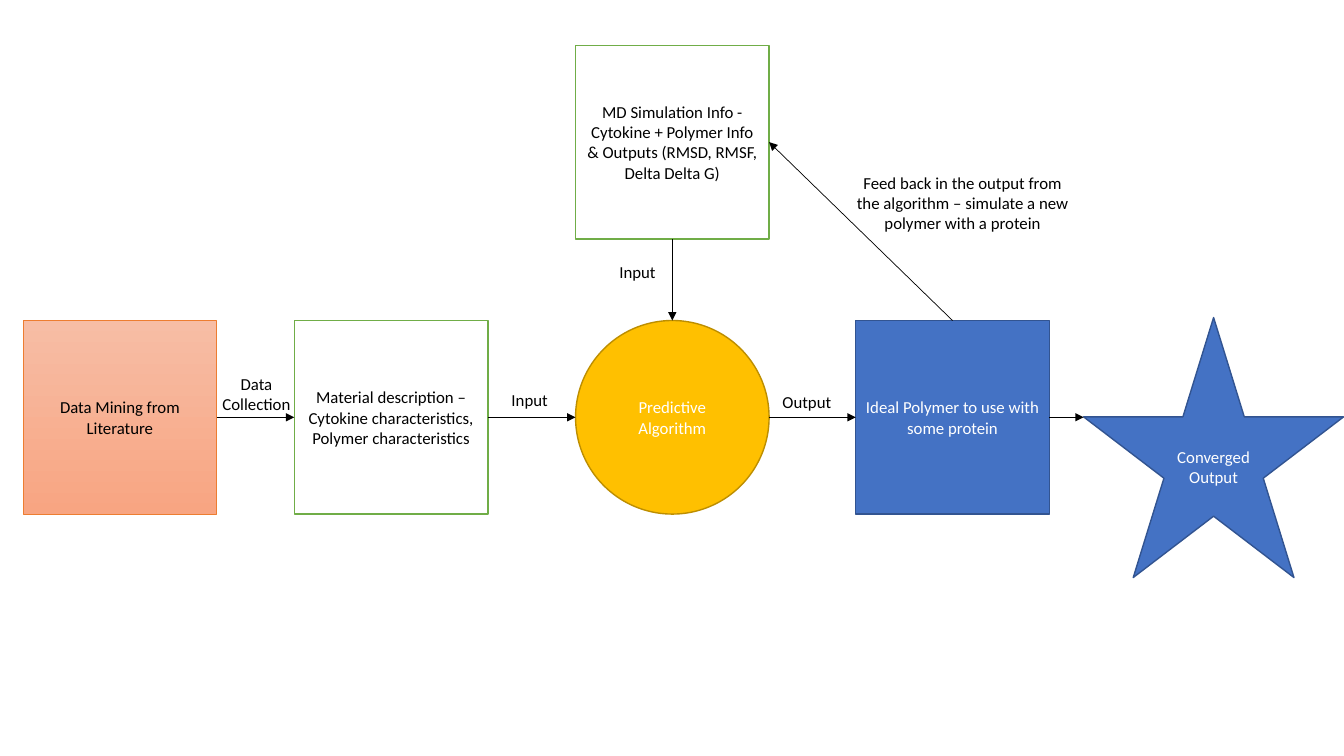
from pptx import Presentation
from pptx.dml.color import RGBColor
from pptx.enum import shapes, text
from pptx.oxml import xmlchemy
from pptx.util import Pt

SIDE = 138.24
ROW_TOP = 228.96
ROW_MIDDLE = ROW_TOP + SIDE / 2
COLUMNS = [16.56, 210.24, 411.12, 611.28]
STAR = (774, 226.8, 185.76, 185.76)
GREEN, BLUE, NAVY = "70AD47", "4472C4", "325491"
BLACK, WHITE = "000000", "FFFFFF"
KIND = shapes.MSO_SHAPE


def colour(value):
    return RGBColor.from_string(value)


def write(frame, paragraphs, ink, anchor):
    settings = {"word_wrap": True, "vertical_anchor": anchor}
    for name, value in settings.items():
        setattr(frame, name, value)
    for index, wording in enumerate(paragraphs):
        paragraph = frame.paragraphs[0] if index == 0 else frame.add_paragraph()
        paragraph.alignment = text.PP_ALIGN.CENTER
        run = paragraph.add_run()
        run.text = wording
        for name, value in {"name": "Calibri", "size": Pt(12)}.items():
            setattr(run.font, name, value)
        run.font.color.rgb = colour(ink)


def add_step(slide, box, paragraphs, fill, border, ink,
             kind=KIND.RECTANGLE, border_width=1):
    """Place one step of the flow; a pair of fills makes a vertical gradient."""
    step = slide.shapes.add_shape(kind, *map(Pt, box))
    step.shadow.inherit = False
    if isinstance(fill, tuple):
        step.fill.gradient()
        step.fill.gradient_angle = 270
        for stop, shade in zip(step.fill.gradient_stops, fill):
            stop.color.rgb = colour(shade)
    else:
        step.fill.solid()
        step.fill.fore_color.rgb = colour(fill)
    step.line.color.rgb = colour(border)
    step.line.width = Pt(border_width)
    write(step.text_frame, paragraphs, ink, text.MSO_ANCHOR.MIDDLE)
    return step


def add_arrow(slide, start, end, source=None, target=None):
    """Draw an arrow; source and target are (shape, side) pairs to join."""
    arrow = slide.shapes.add_connector(
        shapes.MSO_CONNECTOR.STRAIGHT, *map(Pt, (*start, *end)))
    arrow.line.color.rgb = colour(BLACK)
    arrow.line.width = Pt(0.5)
    head = xmlchemy.OxmlElement("a:tailEnd")
    head.set("type", "triangle")
    arrow.line._get_or_add_ln().append(head)
    arrow._element.spPr.append(xmlchemy.OxmlElement("a:effectLst"))
    if source:
        arrow.begin_connect(*source)
    if target:
        arrow.end_connect(*target)


def add_label(slide, box, wording):
    label = slide.shapes.add_textbox(*map(Pt, box))
    write(label.text_frame, [wording], BLACK, text.MSO_ANCHOR.TOP)


def add_flow(slide):
    mining_box, material_box, algorithm_box, polymer_box = [
        (left, ROW_TOP, SIDE, SIDE) for left in COLUMNS]
    simulation_box = (COLUMNS[2], 32.4, SIDE, SIDE)

    material = add_step(
        slide, material_box,
        ["Material description –",
         "Cytokine characteristics, Polymer characteristics"],
        WHITE, GREEN, BLACK)
    simulation = add_step(
        slide, simulation_box,
        ["MD Simulation Info -",
         "Cytokine + Polymer Info & Outputs (RMSD, RMSF, Delta Delta G)"],
        WHITE, GREEN, BLACK)
    algorithm = add_step(slide, algorithm_box, ["Predictive Algorithm"],
                         "FFC000", "BD8E00", WHITE, KIND.OVAL)
    polymer = add_step(slide, polymer_box,
                       ["Ideal Polymer to use with some protein"],
                       BLUE, NAVY, WHITE)
    mining = add_step(slide, mining_box, ["Data Mining from Literature"],
                      ("F7BDA5", "F8A582"), "ED7D31", BLACK, border_width=0.5)
    add_step(slide, STAR, ["Converged Output"], BLUE, NAVY, WHITE,
             KIND.STAR_5_POINT)

    lefts = [(left, ROW_MIDDLE) for left in [*COLUMNS, STAR[0]]]
    rights = [(left + SIDE, ROW_MIDDLE) for left in COLUMNS]
    sources = [(mining, 3), (material, 3), None, (polymer, 3)]
    targets = [(material, 1), None, (polymer, 1), None]
    for start, end, source, target in zip(rights, lefts[1:], sources, targets):
        add_arrow(slide, start, end, source, target)

    centre = COLUMNS[2] + SIDE / 2
    simulation_bottom = simulation_box[1] + SIDE
    add_arrow(slide, (centre, simulation_bottom), (centre, ROW_TOP),
              (simulation, 2), (algorithm, 0))
    add_arrow(slide, (COLUMNS[3] + SIDE / 2, ROW_TOP),
              (COLUMNS[2] + SIDE, simulation_bottom - SIDE / 2),
              (polymer, 0), (simulation, 3))


def add_labels(slide):
    add_label(slide, (600.48, 119.52, 174.24, 51.12),
              "Feed back in the output from the algorithm – "
              "simulate a new polymer with a protein")
    for left, top, height, wording in [
            (416.88, 183.6, 21.6, "Input"),
            (339.84, 275.04, 21.6, "Input"),
            (537.84, 276.48, 21.6, "Output"),
            (144.72, 263.52, 36, "Data Collection")]:
        add_label(slide, (left, top, 77.04, height), wording)


def main():
    deck = Presentation()
    deck.slide_width, deck.slide_height = Pt(960), Pt(540)
    slide = deck.slides.add_slide(deck.slide_layouts[6])
    add_flow(slide)
    add_labels(slide)
    deck.save("out.pptx")


if __name__ == "__main__":
    main()
